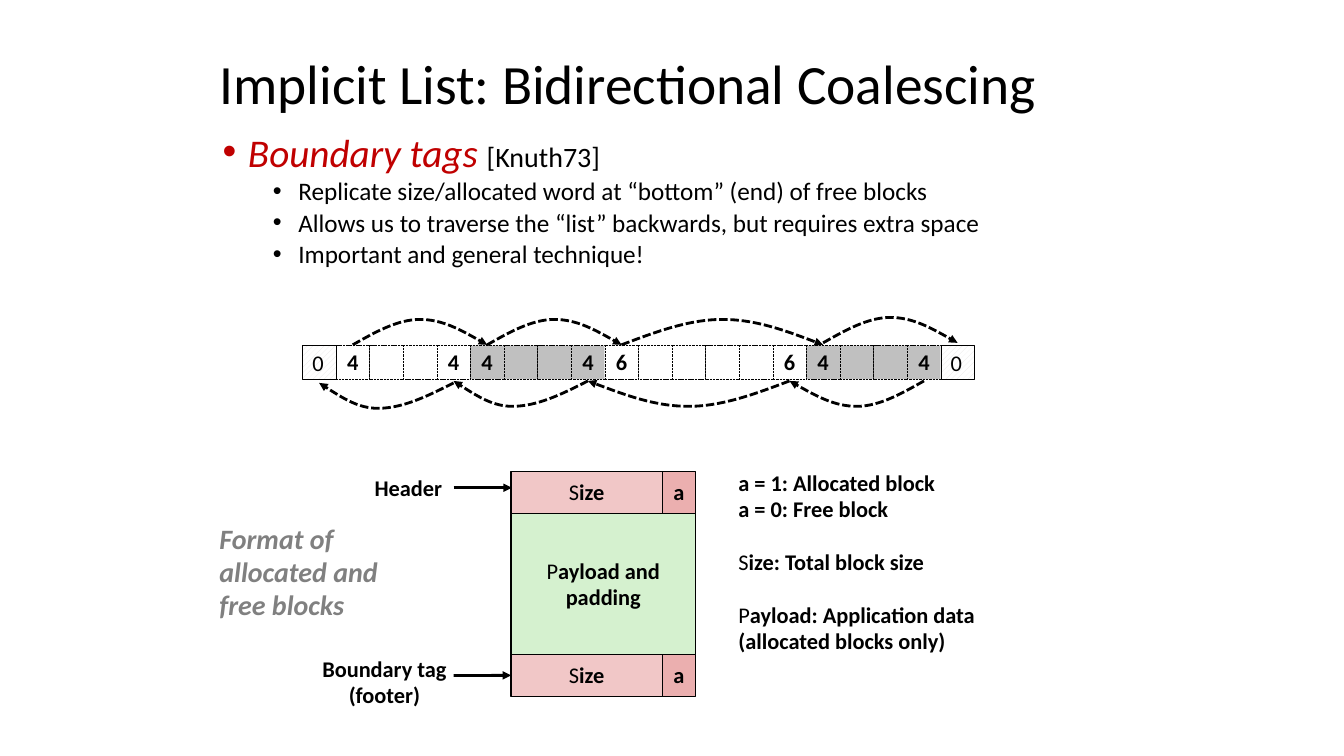
from itertools import accumulate
from typing import NamedTuple, Sequence

from lxml.etree import SubElement
from pptx import Presentation
from pptx.dml.color import RGBColor
from pptx.enum.dml import MSO_LINE, MSO_PATTERN
from pptx.enum.shapes import MSO_CONNECTOR, MSO_SHAPE
from pptx.enum.text import MSO_ANCHOR as ANCHOR, MSO_AUTO_SIZE as AUTO, PP_ALIGN as ALIGN
from pptx.oxml.ns import qn
from pptx.util import Cm, Pt

BLACK = RGBColor(0x00, 0x00, 0x00)
WHITE = RGBColor(0xFF, 0xFF, 0xFF)
GRAY = RGBColor(0xC0, 0xC0, 0xC0)
CAPTION = RGBColor(0x80, 0x80, 0x80)
HATCH = RGBColor(0xE7, 0xE6, 0xE6)
RED = RGBColor(0xC0, 0x00, 0x00)
PINK = RGBColor(0xF1, 0xC7, 0xC7)
ROSE = RGBColor(0xEB, 0xAF, 0xAF)
GREEN = RGBColor(0xD5, 0xF1, 0xCF)

FONT = "Calibri"
CELL = 2.54 / 3
LIST_X, LIST_Y = 7.62, 8.71
ARC_RISE = 0.64


class Run(NamedTuple):
    text: str
    size: float = 16
    bold: bool = False
    italic: bool = False
    color: RGBColor = BLACK


class Para(NamedTuple):
    runs: Sequence[Run]
    spacing: float = 0.98
    before: float = 0
    bullet_at: float | None = None  # left edge of the bulleted text, cm


class Box(NamedTuple):
    x: float
    y: float
    w: float
    h: float


class Block(NamedTuple):
    words: int
    fill: RGBColor


class Label(NamedTuple):
    box: Box
    paras: Sequence[Para]
    align: ALIGN = ALIGN.LEFT


def bold(text: str, before: float = 0) -> Para:
    return Para([Run(text, bold=True)], before=before)


def light_initial(text: str, before: float = 0) -> Para:
    return Para([Run(text[0]), Run(text[1:], bold=True)], before=before)


def write(tf, paras: Sequence[Para], align=ALIGN.LEFT) -> None:
    for i, para in enumerate(paras):
        p = tf.paragraphs[0] if i == 0 else tf.add_paragraph()
        p.alignment, p.line_spacing = align, para.spacing
        p.space_before = Pt(para.before)
        if para.bullet_at is not None:
            pPr = p._p.get_or_add_pPr()
            pPr.set("marL", str(Cm(para.bullet_at)))
            pPr.set("indent", str(-Cm(0.64)))
            SubElement(pPr, qn("a:buFont")).set("typeface", "Arial")
            SubElement(pPr, qn("a:buChar")).set("char", "•")
        for run in para.runs:
            r = p.add_run()
            r.text = run.text
            r.font.name, r.font.size = FONT, Pt(run.size)
            r.font.bold, r.font.italic = run.bold, run.italic
            r.font.color.rgb = run.color


def add_text(s, label: Label, wrap: bool = False, anchor=ANCHOR.TOP) -> None:
    tf = s.shapes.add_textbox(*map(Cm, label.box)).text_frame
    tf.word_wrap, tf.vertical_anchor = wrap, anchor
    tf.auto_size = AUTO.NONE if wrap else AUTO.SHAPE_TO_FIT_TEXT
    write(tf, label.paras, label.align)


def add_rect(s, box: Box, fill: RGBColor, paras: Sequence[Para] = (),
             width: float = 1, align=ALIGN.CENTER):
    sp = s.shapes.add_shape(MSO_SHAPE.RECTANGLE, *map(Cm, box))
    sp.shadow.inherit = False
    sp.fill.solid()
    sp.fill.fore_color.rgb = fill
    sp.line.color.rgb, sp.line.width = BLACK, Pt(width)
    sp.text_frame.word_wrap = False
    sp.text_frame.vertical_anchor = ANCHOR.MIDDLE
    write(sp.text_frame, paras, align)
    return sp


def arrow_line(line) -> None:
    line.color.rgb, line.width = BLACK, Pt(2)


def add_head(line) -> None:
    SubElement(line._get_or_add_ln(), qn("a:tailEnd")).set("type", "triangle")


def add_arc(s, start: float, end: float, y: float, rise: float, shift: float = 0) -> None:
    """Dashed arrow of two Bezier halves that meet at the peak."""
    peak = (start + end) / 2 + shift
    xs = [start + (peak - start) * k / 3 for k in (1, 2, 3)]
    xs += [peak + (end - peak) * k / 3 for k in (1, 2, 3)]
    ys = [y + rise * k for k in (0.5, 1, 1, 1, 0.5, 0)]
    builder = s.shapes.build_freeform(Cm(start), Cm(y))
    builder.add_line_segments([(Cm(a), Cm(b)) for a, b in zip(xs, ys)], close=False)
    sp = builder.convert_to_shape()
    outline = sp._element.find(".//" + qn("a:path"))
    points = outline.findall(qn("a:lnTo"))
    for i in (0, 3):
        curve = SubElement(outline, qn("a:cubicBezTo"))
        for ln_to in points[i:i + 3]:
            curve.append(ln_to[0])
            outline.remove(ln_to)
    sp.shadow.inherit = False
    sp.fill.background()
    arrow_line(sp.line)
    sp.line.dash_style = MSO_LINE.SQUARE_DOT
    add_head(sp.line)


def add_arrow(s, y: float, target=None) -> None:
    cn = s.shapes.add_connector(MSO_CONNECTOR.STRAIGHT, Cm(11.43), Cm(y), Cm(12.9), Cm(y))
    if target is not None:
        cn.end_connect(target, 1)
    arrow_line(cn.line)
    add_head(cn.line)
    SubElement(cn._element.spPr, qn("a:effectLst"))


def cell_box(i: int) -> Box:
    return Box(LIST_X + i * CELL, LIST_Y, CELL, CELL)


def center(i: int) -> float:
    return LIST_X + (i + 0.5) * CELL


def add_block_list(s) -> None:
    blocks = [Block(4, WHITE), Block(4, GRAY), Block(6, WHITE), Block(4, GRAY)]
    heads = list(accumulate((b.words for b in blocks), initial=1))
    for block, head in zip(blocks, heads):
        for k in range(block.words):
            tag = [bold(str(block.words))] if k in (0, block.words - 1) else []
            sp = add_rect(s, cell_box(head + k), block.fill, tag, 0.25)
            sp.line.dash_style = MSO_LINE.SQUARE_DOT
    # Hatched end words
    for i in (0, heads[-1]):
        sp = add_rect(s, cell_box(i), WHITE, [Para([Run("0")], 1)], 0.25, ALIGN.LEFT)
        sp.fill.patterned()
        sp.fill.pattern = MSO_PATTERN.WIDE_UPWARD_DIAGONAL
        sp.fill.fore_color.rgb, sp.fill.back_color.rgb = HATCH, WHITE
    # Forward links above, backward links below
    for i, (head, following) in enumerate(zip(heads, heads[1:])):
        add_arc(s, center(head), center(following), 8.64 if i == 3 else 8.69, -ARC_RISE)
        add_arc(s, center(following - 1), center(head - 1), 9.65 if i == 0 else 9.6,
                ARC_RISE, -0.21 if i < 2 else 0)


def add_block_format(s) -> None:
    left, size_w, a_w, tag_h = 12.88, 3.81, 0.84, 1.06
    add_rect(s, Box(left, 12.94, size_w + a_w, 3.57), GREEN,
             [light_initial("Payload and"), bold("padding")])
    for y in (11.88, 16.49):
        size = add_rect(s, Box(left, y, size_w, tag_h), PINK, [light_initial("Size")])
        add_rect(s, Box(left + size_w, y, a_w, tag_h), ROSE, [bold("a")])
    add_arrow(s, 12.29)
    add_arrow(s, 17.02, size)  # the footer's size field


def main() -> None:
    prs = Presentation()
    prs.slide_width, prs.slide_height = Cm(33.87), Cm(19.05)
    s = prs.slides.add_slide(prs.slide_layouts[6])

    # Title and bullets
    title = [Para([Run("Implicit List: Bidirectional Coalescing", 39.6)], 0.9)]
    add_text(s, Label(Box(5.28, 1.37, 24.33, 1.6), title), True, ANCHOR.MIDDLE)
    points = ["Replicate size/allocated word at “bottom” (end) of free blocks",
              "Allows us to traverse the “list” backwards, but requires extra space",
              "Important and general technique!"]
    lead = Para([Run("Boundary tags ", 28, italic=True, color=RED), Run("[Knuth73]", 20)],
                0.73, 12.5, 0.64)
    body = [lead] + [Para([Run(t, 18)], 0.78, 5.6, 1.91) for t in points]
    add_text(s, Label(Box(5.36, 3.4, 23.09, 3.68), body), True)

    # Diagrams
    add_block_list(s)
    add_block_format(s)

    # Labels
    caption = [Para([Run(t, 20, True, True, CAPTION)])
               for t in ("Format of", "allocated and", "free blocks")]
    legend = [bold("a = 1: Allocated block"), bold("a = 0: Free block"),
              light_initial("Size: Total block size", 19),
              light_initial("Payload: Application data", 19),
              bold("(allocated blocks only)")]
    for label in (
        Label(Box(5.28, 13.06, 4.52, 2.77), caption),
        Label(Box(18.36, 11.73, 6.53, 5.64), legend),
        Label(Box(9.19, 11.86, 2.24, 0.94), [bold("Header")]),
        Label(Box(7.85, 16.41, 3.68, 1.6), [bold("Boundary tag"), bold("(footer)")],
              ALIGN.CENTER),
    ):
        add_text(s, label)

    prs.save("out.pptx")


if __name__ == "__main__":
    main()
